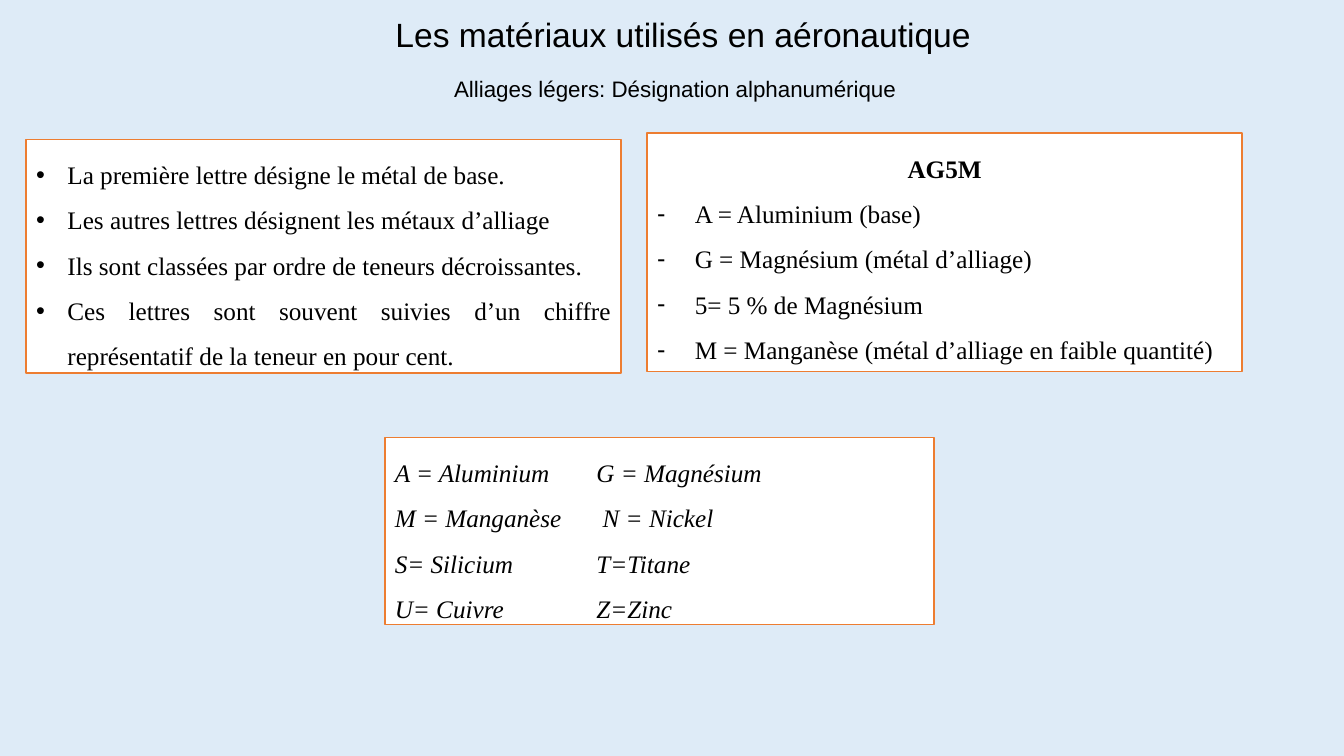
import pptx
import pptx.util
import pptx.dml.color
import pptx.enum.shapes
import pptx.enum.text
import lxml.etree
from pptx.util import Cm, Pt

BACKGROUND = pptx.dml.color.RGBColor(0xDE, 0xEB, 0xF7)
WHITE = pptx.dml.color.RGBColor(0xFF, 0xFF, 0xFF)
BLACK = pptx.dml.color.RGBColor(0x00, 0x00, 0x00)
ORANGE = pptx.dml.color.RGBColor(0xED, 0x7D, 0x31)

ALIGN = pptx.enum.text.PP_ALIGN
ANCHOR = pptx.enum.text.MSO_ANCHOR

RULES = [
    "La première lettre désigne le métal de base.",
    "Les autres lettres désignent les métaux d’alliage",
    "Ils sont classées par ordre de teneurs décroissantes.",
    "Ces lettres sont souvent suivies d’un chiffre représentatif de la teneur en pour cent.",
]
EXAMPLE = [
    "A = Aluminium (base)",
    "G = Magnésium (métal d’alliage)",
    "5= 5 % de Magnésium",
    "M = Manganèse (métal d’alliage en faible quantité)",
]
SYMBOLS = [
    "A = Aluminium\tG = Magnésium",
    "M = Manganèse\t N = Nickel",
    "S= Silicium\tT=Titane",
    "U= Cuivre\tZ=Zinc",
]


def format_runs(p, name, size, bold=False, italic=False):
    """Apply one font to every run of a paragraph."""
    for r in p.runs:
        r.font.name = name
        r.font.size = Pt(size)
        r.font.bold = bold
        r.font.italic = italic
        r.font.color.rgb = BLACK


def set_bullet(p, char, indent):
    """Give a paragraph a bullet with a hanging indent."""
    pPr = p._p.get_or_add_pPr()
    pPr.set("marL", str(indent))
    pPr.set("indent", str(-indent))
    font = lxml.etree.SubElement(pPr, pptx.oxml.ns.qn("a:buFont"))
    font.set("typeface", "Arial")
    bullet = lxml.etree.SubElement(pPr, pptx.oxml.ns.qn("a:buChar"))
    bullet.set("char", char)


def set_tab(p, position):
    """Give a paragraph one left tab stop."""
    tabs = lxml.etree.SubElement(p._p.get_or_add_pPr(), pptx.oxml.ns.qn("a:tabLst"))
    tab = lxml.etree.SubElement(tabs, pptx.oxml.ns.qn("a:tab"))
    tab.set("pos", str(position))
    tab.set("algn", "l")


def add_heading(s, box, text, size):
    """Place a centred heading in the given box."""
    tf = s.shapes.add_textbox(*box).text_frame
    tf.word_wrap = True
    tf.vertical_anchor = ANCHOR.MIDDLE
    p = tf.paragraphs[0]
    p.text = text
    p.alignment = ALIGN.CENTER
    p.line_spacing = 0.9
    format_runs(p, "Arial", size)


def add_panel(s, box, lines, heading=None, bullet=None, indent=0, tab=None, italic=False):
    """Place a framed white panel of text lines in the given box."""
    sp = s.shapes.add_shape(pptx.enum.shapes.MSO_SHAPE.RECTANGLE, *box)
    sp.shadow.inherit = False
    sp.fill.solid()
    sp.fill.fore_color.rgb = WHITE
    sp.line.color.rgb = ORANGE
    sp.line.width = Pt(1)
    tf = sp.text_frame
    tf.word_wrap = True
    tf.auto_size = pptx.enum.text.MSO_AUTO_SIZE.SHAPE_TO_FIT_TEXT
    tf.vertical_anchor = ANCHOR.TOP
    texts = [heading, *lines] if heading else lines
    for i, text in enumerate(texts):
        p = tf.add_paragraph() if i else tf.paragraphs[0]
        is_heading = text == heading
        p.text = text
        if bullet and not is_heading:
            set_bullet(p, bullet, indent)
        if tab:
            set_tab(p, tab)
        p.alignment = ALIGN.CENTER if is_heading else ALIGN.JUSTIFY
        p.line_spacing = 1.5
        format_runs(p, "Times New Roman", 18, is_heading, italic)


def main():
    """Build the slide and save it."""
    prs = pptx.Presentation()
    prs.slide_width, prs.slide_height = Cm(33.87), Cm(19.05)
    s = prs.slides.add_slide(prs.slide_layouts[6])
    s.background.fill.solid()
    s.background.fill.fore_color.rgb = BACKGROUND

    add_heading(s, (Cm(9.1), Cm(0.13), Cm(16.23), Cm(1.57)),
                "Les matériaux utilisés en aéronautique", 24)
    add_heading(s, (Cm(7.35), Cm(1.52), Cm(19.33), Cm(1.52)),
                "Alliages légers: Désignation alphanumérique", 16)
    add_panel(s, (Cm(0.66), Cm(3.51), Cm(14.99), Cm(5.89)), RULES,
              bullet="•", indent=Cm(0.79))
    add_panel(s, (Cm(16.31), Cm(3.35), Cm(14.99), Cm(6.02)), EXAMPLE,
              heading="AG5M", bullet="-", indent=Cm(0.95))
    add_panel(s, (Cm(9.7), Cm(11.02), Cm(13.84), Cm(4.72)), SYMBOLS,
              tab=Cm(5.08), italic=True)
    prs.save("out.pptx")


if __name__ == "__main__":
    main()
